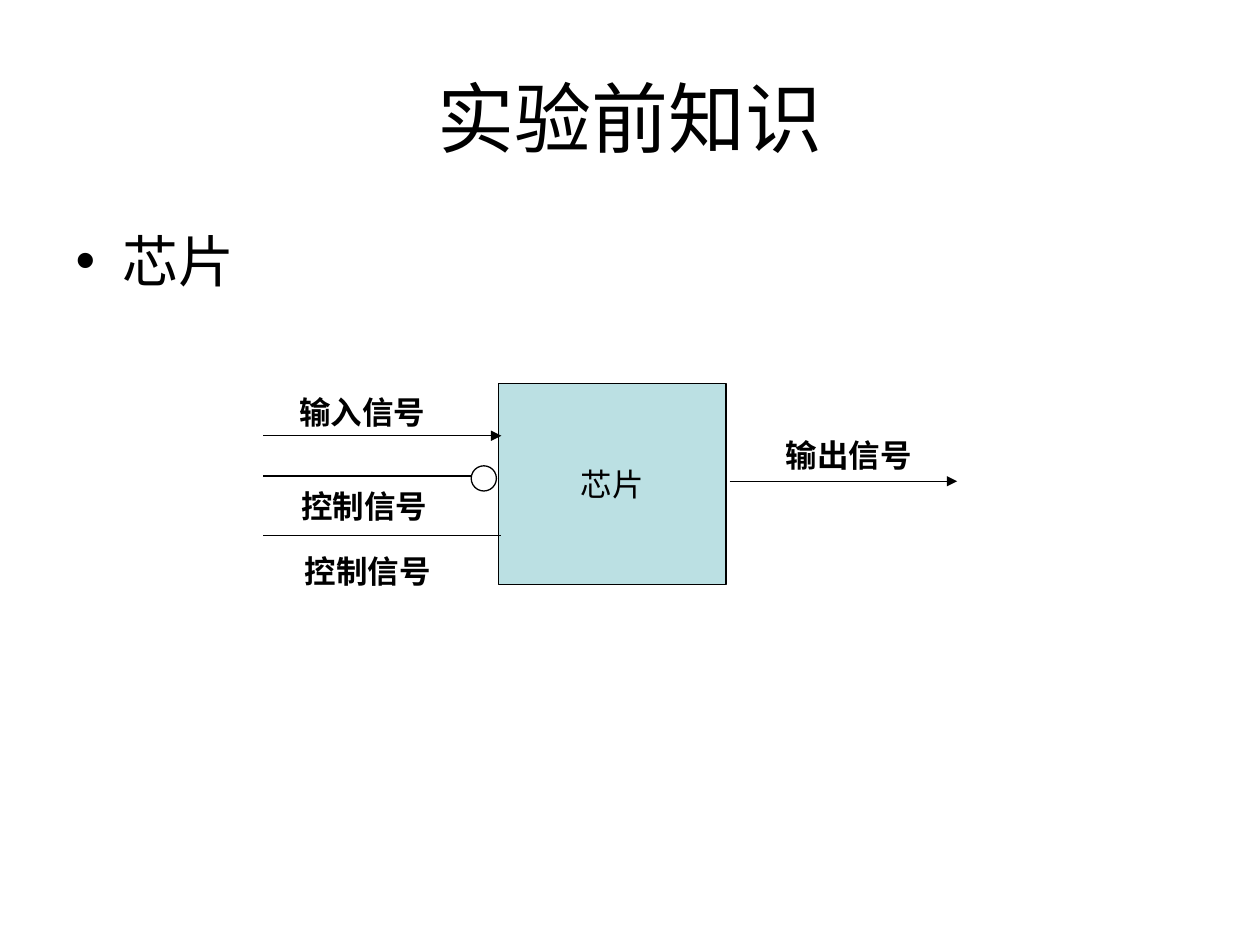
"""Build the slide that shows a chip with its input, control and output signals."""
from dataclasses import dataclass

from lxml.etree import SubElement as Sub
from pptx import Presentation as Deck
from pptx.dml.color import RGBColor as Rgb
from pptx.enum.shapes import MSO_CONNECTOR as Link, MSO_SHAPE as Form
from pptx.enum.text import MSO_ANCHOR as Anchor, MSO_AUTO_SIZE as Fit, PP_ALIGN as Align
from pptx.oxml.ns import qn
from pptx.util import Pt


@dataclass(frozen=True)
class Theme:
    """Colours, font and type sizes of the slide."""
    ink: Rgb = Rgb(0, 0, 0)
    chip: Rgb = Rgb(0xBB, 0xE0, 0xE3)
    font: str = "Arial"
    head: int = 44
    list: int = 32
    label: int = 18
    line: float = 0.75


def write(frame, text, *, size, theme, bold=False, align=Align.LEFT,
          anchor=Anchor.TOP, wrap=True, fit=Fit.NONE):
    """Put one formatted paragraph into a text frame."""
    frame.auto_size = fit
    frame.word_wrap = wrap
    frame.vertical_anchor = anchor
    para = frame.paragraphs[0]
    para.alignment = align
    para.space_before = Pt(0)
    run = para.add_run()
    run.text = text
    font = run.font
    font.name, font.size, font.bold = theme.font, Pt(size), bold
    font.color.rgb = theme.ink


class Page:
    """Hold the style and the current slide."""

    def __init__(self, slide, theme):
        """Start a page with one group for the diagram."""
        self.slide, self.theme = slide, theme
        self.group = slide.shapes.add_group_shape().shapes

    def holder(self, index, box, text, **style):
        """Place and fill a template placeholder."""
        hold = self.slide.placeholders[index]
        hold.left, hold.top, hold.width, hold.height = map(Pt, box)
        write(hold.text_frame, text, theme=self.theme, **style)

    def shape(self, form, box, fill=None, text=None):
        """Draw an outlined shape, with fill and centred text if given."""
        shape = self.group.add_shape(form, *map(Pt, box))
        shape.shadow.inherit = False
        if fill is None:
            shape.fill.background()
        else:
            shape.fill.solid()
            shape.fill.fore_color.rgb = fill
        self.stroke(shape.line)
        if text:
            write(shape.text_frame, text, theme=self.theme, size=self.theme.label,
                  align=Align.CENTER, anchor=Anchor.MIDDLE, wrap=False)

    def stroke(self, line):
        """Give a line the common colour and width."""
        line.color.rgb = self.theme.ink
        line.width = Pt(self.theme.line)

    def wire(self, left, right, y, arrow=False):
        """Draw a level wire, with an arrowhead at its right end if asked."""
        wire = self.group.add_connector(Link.STRAIGHT, *map(Pt, (left, y, right, y)))
        self.stroke(wire.line)
        props = wire.element.spPr
        if arrow:
            Sub(props.find(qn("a:ln")), qn("a:tailEnd"), type="triangle")
        Sub(props, qn("a:effectLst"))

    def label(self, left, top, text):
        """Add a bold signal name."""
        box = self.group.add_textbox(*map(Pt, (left, top, 130, 29)))
        write(box.text_frame, text, theme=self.theme, size=self.theme.label,
              bold=True, fit=Fit.SHAPE_TO_FIT_TEXT)


def main():
    """Build and save the slide."""
    deck = Deck()
    deck.slide_width, deck.slide_height = Pt(720), Pt(540)
    theme = Theme()
    page = Page(deck.slides.add_slide(deck.slide_layouts[1]), theme)
    page.holder(0, (36, 21.6, 648, 90), "实验前知识", size=theme.head,
                align=Align.CENTER, anchor=Anchor.MIDDLE)
    page.holder(1, (36, 126, 648, 356.4), "芯片", size=theme.list)
    page.shape(Form.RECTANGLE, (285, 219, 130, 115), theme.chip, "芯片")
    page.shape(Form.FLOWCHART_CONNECTOR, (269.3, 266.2, 14.4, 14.4))
    for left, right, y, arrow in (
        (150.5, 286.5, 249, True),
        (150.5, 269.3, 272, False),
        (150.5, 286.5, 306, False),
        (417, 547, 275, True),
    ):
        page.wire(left, right, y, arrow)
    for left, top, text in (
        (164, 221, "输入信号"),
        (165, 274.5, "控制信号"),
        (167, 312, "控制信号"),
        (442, 245.5, "输出信号"),
    ):
        page.label(left, top, text)
    deck.save("out.pptx")


if __name__ == "__main__":
    main()
